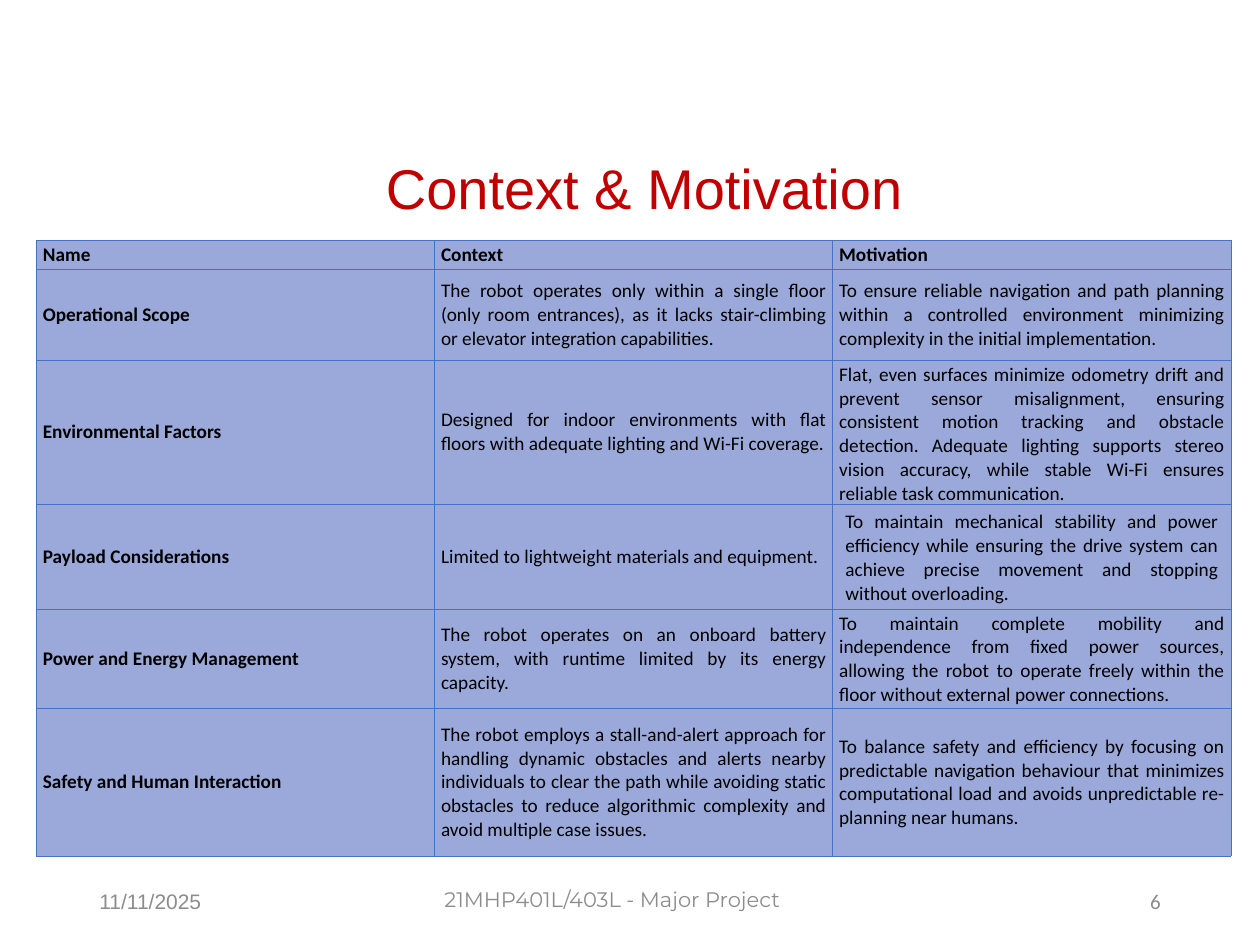
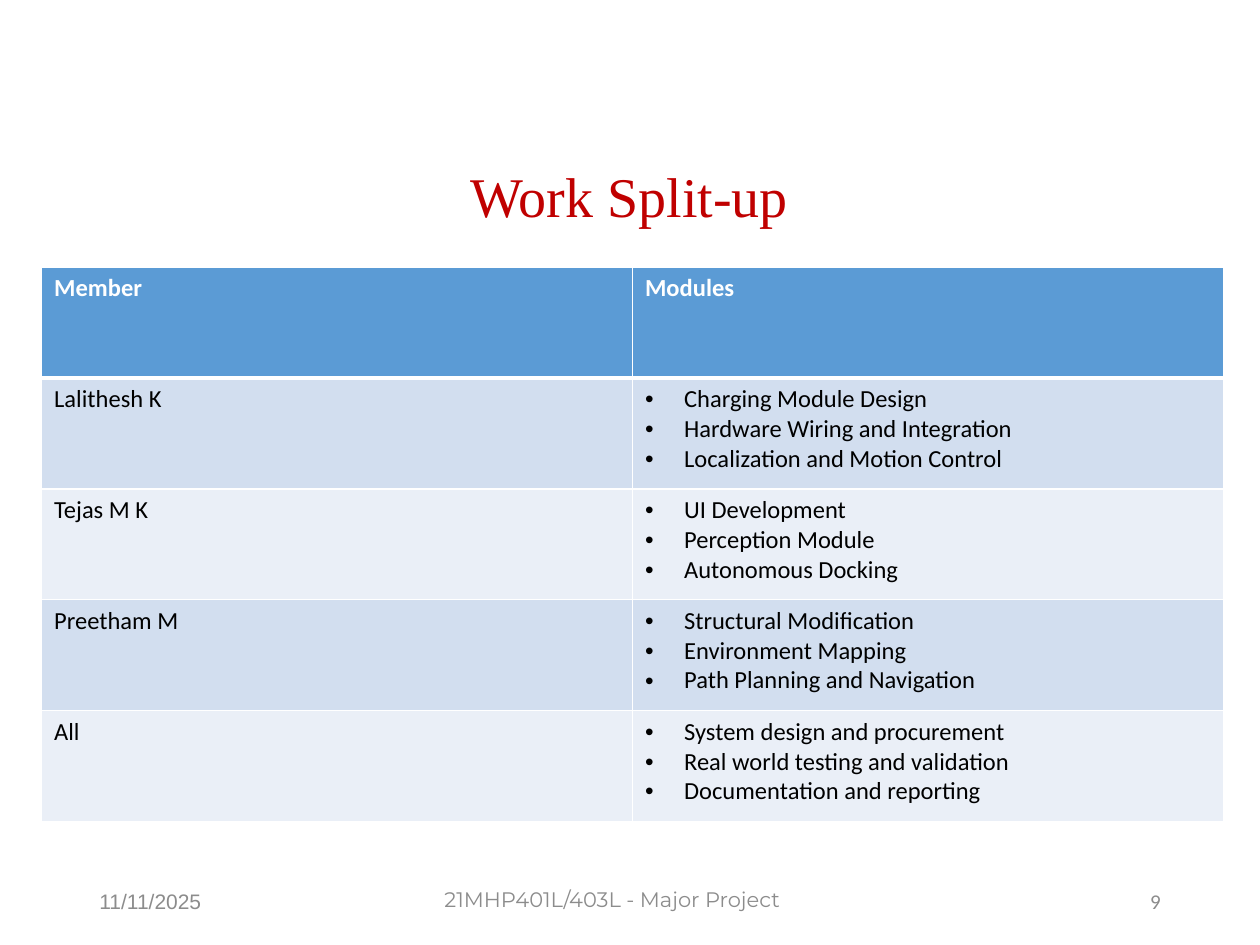
from dataclasses import dataclass

from lxml import etree
from pptx import Presentation
from pptx import util as u
from pptx.dml.color import RGBColor
from pptx.enum import text
from pptx.oxml.ns import qn

Inches = u.Inches
LEFT, CENTER, RIGHT, JUSTIFY = (
    text.PP_ALIGN.LEFT, text.PP_ALIGN.CENTER, text.PP_ALIGN.RIGHT, text.PP_ALIGN.JUSTIFY)
TOP, MIDDLE = text.MSO_ANCHOR.TOP, text.MSO_ANCHOR.MIDDLE


@dataclass(frozen=True)
class Theme:
    title: str = "C00000"
    footer: str = "8C8C8C"
    ink: str = "000000"
    white: str = "FFFFFF"
    context_fill: str = "9AA9D9"
    context_line: str = "4472C4"
    header_fill: str = "5B9BD5"
    bands: tuple = ("D2DEEF", "EAEFF7")
    body_font: str = "Calibri"
    sans_font: str = "Arial"
    serif_font: str = "Times New Roman"
    footer_font: str = "Montserrat"
    title_size: int = 32
    footer_size: int = 12
    context_size: int = 11
    work_size: int = 14


def write(tf, content, *, font, size, color, bold=False, align=LEFT, bullet=False):
    """Fill a text frame with one paragraph per line of content."""
    tf.word_wrap = True
    for i, line in enumerate(content.split("\n")):
        p = tf.paragraphs[0] if i == 0 else tf.add_paragraph()
        p.alignment = align
        r = p.add_run()
        r.text = line
        r.font.name, r.font.size, r.font.bold = font, u.Pt(size), bold
        r.font.color.rgb = RGBColor.from_string(color)
        if bullet:
            pPr = p._p.get_or_add_pPr()
            pPr.set("marL", str(Inches(0.31)))
            pPr.set("indent", str(-Inches(0.31)))
            etree.SubElement(pPr, qn("a:buFont"), typeface="Arial")
            etree.SubElement(pPr, qn("a:buChar"), char="•")


def set_borders(cell, color, width, bottom=None, top=None):
    """Line all four sides; bottom and top may have their own width."""
    widths = {"L": width, "R": width, "T": top or width, "B": bottom or width}
    tcPr = cell._tc.get_or_add_tcPr()
    for i, (side, points) in enumerate(widths.items()):
        ln = etree.Element(qn(f"a:ln{side}"), w=str(u.Pt(points)))
        fill = etree.SubElement(ln, qn("a:solidFill"))
        etree.SubElement(fill, qn("a:srgbClr"), val=color)
        tcPr.insert(i, ln)


def set_margins(cell, side, end):
    cell.margin_left = cell.margin_right = Inches(side)
    cell.margin_top = cell.margin_bottom = Inches(end)


class Deck:
    def __init__(self, theme):
        self.theme = theme
        self.prs = Presentation()
        self.prs.slide_width, self.prs.slide_height = Inches(10), Inches(7.5)
        self.s = None

    def add_slide(self, title, left, top, font, number):
        t = self.theme
        self.s = self.prs.slides.add_slide(self.prs.slide_layouts[5])
        sp = self.s.shapes.title
        sp.left, sp.top, sp.width, sp.height = map(Inches, (left, top, 8.85, 0.64))
        sp.text_frame.vertical_anchor = TOP
        sp.text_frame.auto_size = text.MSO_AUTO_SIZE.NONE
        write(sp.text_frame, title, font=font, size=t.title_size, color=t.title, align=CENTER)
        self.add_footer("11/11/2025", 0.69, 6.95, 2.25, t.sans_font, LEFT)
        self.add_footer("21MHP401L/403L - Major Project", 3.17, 6.94, 3.38,
                        t.footer_font, CENTER)
        self.add_footer(str(number), 7.06, 6.95, 2.25, t.body_font, RIGHT)

    def add_footer(self, content, left, top, width, font, align):
        sp = self.s.shapes.add_textbox(*map(Inches, (left, top, width, 0.4)))
        sp.text_frame.vertical_anchor = MIDDLE
        write(sp.text_frame, content, font=font, size=self.theme.footer_size,
              color=self.theme.footer, align=align)

    def add_table(self, rows, left, top, col_width, heights, style_cell):
        """Add a table with equal columns; style_cell(cell, content, row, col) fills each cell."""
        cols = len(rows[0])
        table = self.s.shapes.add_table(
            len(rows), cols, Inches(left), Inches(top),
            Inches(col_width * cols), Inches(sum(heights))).table
        table.first_row = table.horz_banding = False
        for column in table.columns:
            column.width = Inches(col_width)
        for i, (row, height) in enumerate(zip(rows, heights)):
            table.rows[i].height = Inches(height)
            for j, content in enumerate(row):
                style_cell(table.cell(i, j), content, i, j)

    def fill(self, cell, color):
        cell.fill.solid()
        cell.fill.fore_color.rgb = RGBColor.from_string(color)

    def context_cell(self, cell, content, row, col):
        t = self.theme
        self.fill(cell, t.context_fill)
        set_borders(cell, t.context_line, 0.5)
        cell.vertical_anchor = MIDDLE
        wide_margins = content.startswith("To maintain mechanical")
        set_margins(cell, *((0.1, 0.05) if wide_margins else (0.05, 0.02)))
        write(cell.text_frame, content, font=t.body_font, size=t.context_size,
              color=t.ink, bold=row == 0 or col == 0, align=JUSTIFY)

    def work_cell(self, cell, content, row, col):
        t = self.theme
        header = row == 0
        self.fill(cell, t.header_fill if header else t.bands[(row - 1) % 2])
        set_borders(cell, t.white, 1, bottom=3 if header else None,
                    top=3 if row == 1 else None)
        set_margins(cell, 0.1, 0.05)
        write(cell.text_frame, content, font=t.body_font, size=t.work_size,
              color=t.white if header else t.ink, bold=header,
              bullet=col == 1 and not header)


CONTEXT_ROWS = [
    ("Name", "Context", "Motivation"),
    ("Operational Scope",
     "The robot operates only within a single floor (only room entrances), as it lacks "
     "stair-climbing or elevator integration capabilities.",
     "To ensure reliable navigation and path planning within a controlled environment "
     "minimizing complexity in the initial implementation."),
    ("Environmental Factors",
     "Designed for indoor environments with flat floors with adequate lighting and "
     "Wi-Fi coverage.",
     "Flat, even surfaces minimize odometry drift and prevent sensor misalignment, "
     "ensuring consistent motion tracking and obstacle detection. Adequate lighting "
     "supports stereo vision accuracy, while stable Wi-Fi ensures reliable task "
     "communication."),
    ("Payload Considerations",
     "Limited to lightweight materials and equipment.",
     "To maintain mechanical stability and power efficiency while ensuring the drive "
     "system can achieve precise movement and stopping without overloading."),
    ("Power and Energy Management",
     "The robot operates on an onboard battery system, with runtime limited by its "
     "energy capacity.",
     "To maintain complete mobility and independence from fixed power sources, allowing "
     "the robot to operate freely within the floor without external power connections."),
    ("Safety and Human Interaction",
     "The robot employs a stall-and-alert approach for handling dynamic obstacles and "
     "alerts nearby individuals to clear the path while avoiding static obstacles to "
     "reduce algorithmic complexity and avoid multiple case issues.",
     "To balance safety and efficiency by focusing on predictable navigation behaviour "
     "that minimizes computational load and avoids unpredictable re-planning near humans."),
]

WORK_ROWS = [
    ("Member", "Modules"),
    ("Lalithesh K", "Charging Module Design\nHardware Wiring and Integration\n"
                    "Localization and Motion Control"),
    ("Tejas M K", "UI Development\nPerception Module\nAutonomous Docking"),
    ("Preetham M", "Structural Modification\nEnvironment Mapping\n"
                   "Path Planning and Navigation"),
    ("All", "System design and procurement\nReal world testing and validation\n"
            "Documentation and reporting"),
]


def main():
    theme = Theme()
    deck = Deck(theme)
    deck.add_slide("Context & Motivation", 0.69, 1.17, theme.sans_font, 6)
    deck.add_table(CONTEXT_ROWS, 0.29, 1.91, 3.16,
                   [0.23, 0.72, 1.14, 0.83, 0.79, 1.17], deck.context_cell)
    deck.add_slide("Work Split-up", 0.57, 1.23, theme.serif_font, 9)
    deck.add_table(WORK_ROWS, 0.33, 2.12, 4.69, [0.88] * len(WORK_ROWS), deck.work_cell)
    deck.prs.save("out.pptx")


if __name__ == "__main__":
    main()
